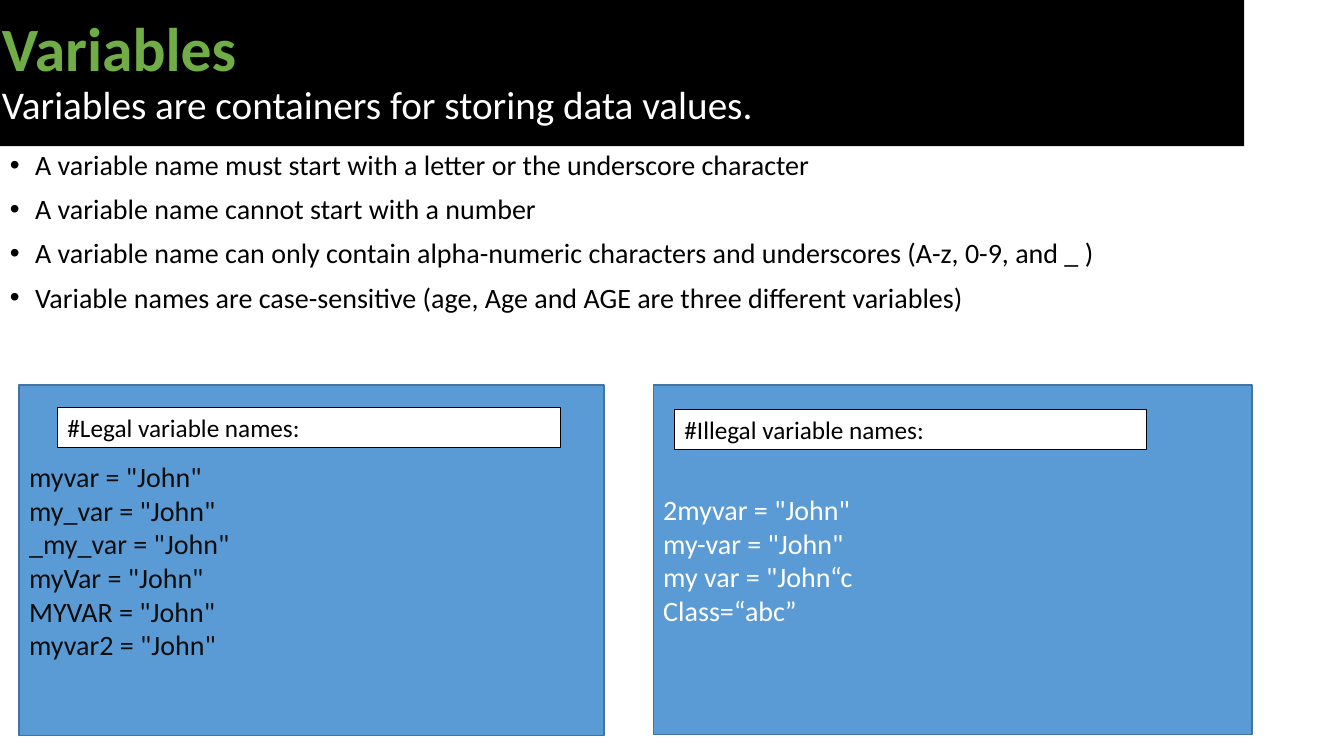
from lxml.etree import SubElement
from pptx import Presentation
from pptx.dml.color import RGBColor
from pptx.enum.shapes import MSO_SHAPE as Kind
from pptx.enum.text import MSO_ANCHOR as Anchor, PP_ALIGN as Align
from pptx.oxml.ns import qn
from pptx.util import Inches, Pt

deck = Presentation()
deck.slide_width, deck.slide_height = Inches(13.33), Inches(7.5)
slide = deck.slides.add_slide(deck.slide_layouts[6])


def box(place, fill=None, line=None, weight=1, anchor=Anchor.MIDDLE):
    """Add a rectangle placed in percent of the slide and return its text frame."""
    wide, high = deck.slide_width / 100, deck.slide_height / 100
    x, y, w, h = place
    area = int(x * wide), int(y * high), int(w * wide), int(h * high)
    if fill:
        shape = slide.shapes.add_shape(Kind.RECTANGLE, *area)
        shape.shadow.inherit = False
        shape.fill.solid()
        shape.fill.fore_color.rgb = RGBColor.from_string(fill)
        if line:
            shape.line.color.rgb = RGBColor.from_string(line)
            shape.line.width = Pt(weight)
        else:
            shape.line.fill.background()
    else:
        shape = slide.shapes.add_textbox(*area)
    frame = shape.text_frame
    frame.word_wrap = True
    frame.vertical_anchor = anchor
    return frame


def write(para, lines, size, color, bold=False):
    """Add one run per line, with line breaks between them."""
    para.alignment = Align.LEFT
    for i, line in enumerate(lines):
        if i:
            para.add_line_break()
        run = para.add_run()
        run.text = line
        font = run.font
        font.name, font.size, font.bold = "Calibri", Pt(size), bold
        font.color.rgb = RGBColor.from_string(color)


# Title band
head = box((-0.6, 0, 93.17, 19.33), "000000").paragraphs[0]
head.line_spacing = 0.9
write(head, ["Variables "], 44, "70AD47", True)
head.add_line_break()
write(head, ["Variables are containers for storing data values."], 28, "FFFFFF")

# Naming rules
rules = [
    "A variable name must start with a letter or the underscore character",
    "A variable name cannot start with a number",
    "A variable name can only contain alpha-numeric characters and underscores (A-z, 0-9, and _ )",
    "Variable names are case-sensitive (age, Age and AGE are three different variables)",
]
body = box((0, 19.33, 93.17, 79.47), anchor=Anchor.TOP)
for i, rule in enumerate(rules):
    para = body.add_paragraph() if i else body.paragraphs[0]
    para.line_spacing, para.space_before = 0.9, Pt(10)
    write(para, [rule], 20, "000000")
    props = para._p.get_or_add_pPr()
    props.set("marL", str(Inches(0.25)))
    props.set("indent", str(-Inches(0.25)))
    SubElement(props, qn("a:buFont"), typeface="Arial")
    SubElement(props, qn("a:buChar"), char="•")

# Code panels: place, text colour, paragraphs of lines
legal = [f'{name} = "John"' for name in
         ("myvar", "my_var", "_my_var", "myVar", "MYVAR", "myvar2")]
wrong = ['2myvar = "John"', 'my-var = "John"', 'my var = "John“c']
panels = [
    ((1.43, 50.93, 43.51, 46.4), "0D0D0D", [legal]),
    ((48.61, 50.93, 44.56, 46.27), "FFFFFF", [wrong, ["Class=“abc”"]]),
]
for place, color, blocks in panels:
    frame = box(place, "5B9BD5", "43739E")
    for i, lines in enumerate(blocks):
        para = frame.add_paragraph() if i else frame.paragraphs[0]
        write(para, lines, 20, color)

# Panel labels
labels = [
    ((4.28, 53.87, 37.43, 5.33), "#Legal variable names:"),
    ((50.19, 54.13, 35.11, 5.33), "#Illegal variable names:"),
]
for place, label in labels:
    frame = box(place, "FFFFFF", "000000", 0.75, Anchor.TOP)
    write(frame.paragraphs[0], [label], 18, "000000")

deck.save("out.pptx")
